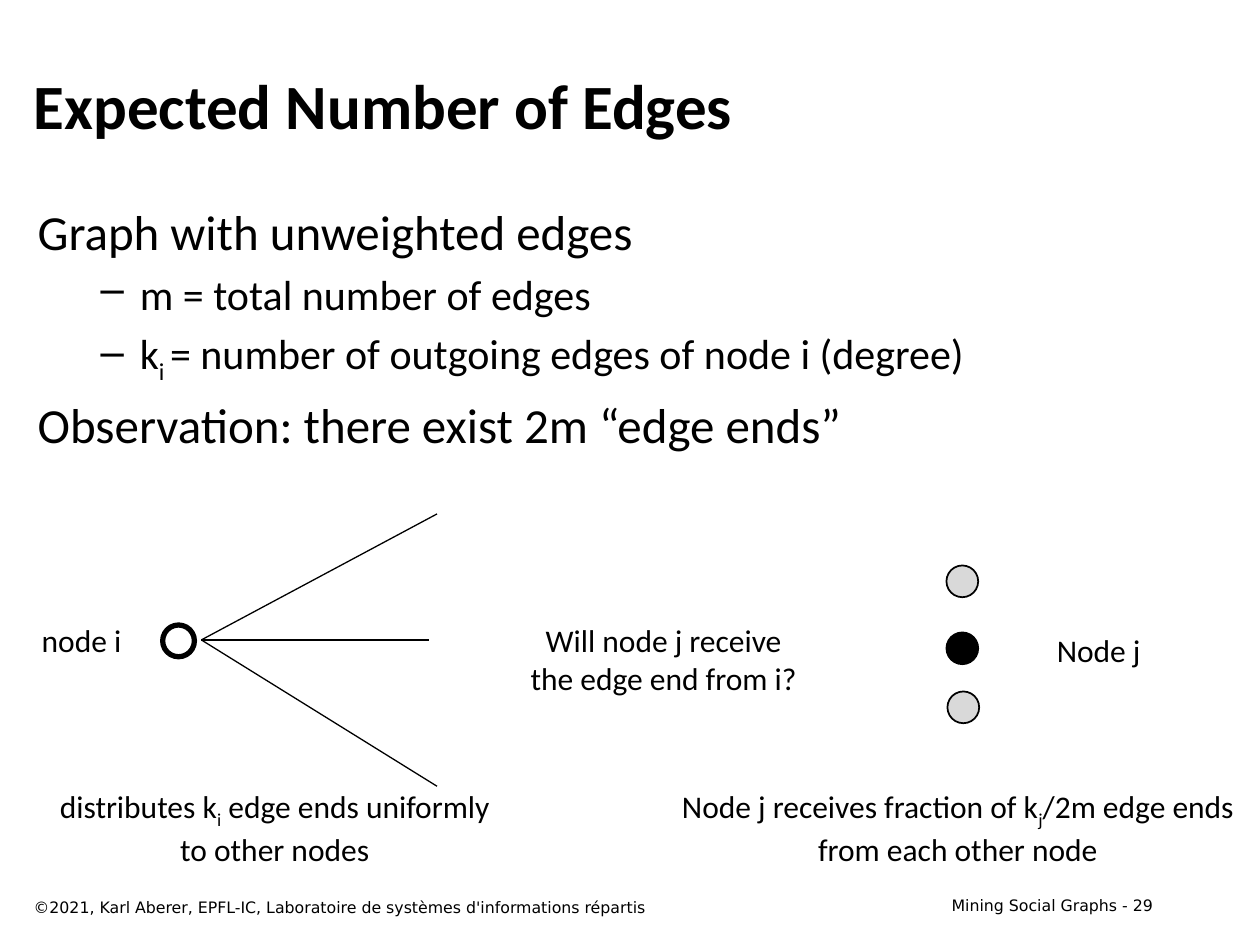
from lxml import etree
from pptx import Presentation
from pptx.dml.color import RGBColor
from pptx.enum import shapes, text
from pptx.oxml import ns
from pptx.util import Cm, Pt

BLACK = RGBColor(0x00, 0x00, 0x00)
GREY = RGBColor(0xD9, 0xD9, 0xD9)
CENTER, RIGHT = text.PP_ALIGN.CENTER, text.PP_ALIGN.RIGHT

# Formats: paragraph and font values
TITLE = dict(font=dict(name="Calibri", size=Pt(36), bold=True))
POINT = dict(font=dict(name="Calibri", size=Pt(28)), space_before=Pt(5.6))
SUBPOINT = dict(font=dict(name="Calibri", size=Pt(24)), space_before=Pt(4.8), bullet="–")
LABEL = dict(font=dict(name="Calibri", size=Pt(18)), alignment=CENTER)
FOOTER = dict(font=dict(name="DejaVu Sans", size=Pt(9)))
PAGE = dict(FOOTER, alignment=RIGHT)

# Paragraphs are lists of runs; every second run is a subscript
TITLE_TEXT = [(["Expected Number of Edges"], TITLE)]
BODY_TEXT = [
    (["Graph with unweighted edges"], POINT),
    (["m = total number of edges"], SUBPOINT),
    (["k", "i ", "= number of outgoing edges of node i (degree)"], SUBPOINT),
    (["Observation: there exist 2m “edge ends”"], POINT),
]
FOOTERS = [  # box in cm, runs, format
    ((18.21, 17.93, 5.28, 0.64), ["Mining Social Graphs - 29"], PAGE),
    ((0.43, 17.98, 16.31, 0.64),
     ["©2021, Karl Aberer, EPFL-IC, Laboratoire de systèmes d'informations répartis"], FOOTER),
]
LABELS = [  # box in cm, lines of runs
    ((0.58, 12.4, 2.13, 1.02), [["node i"]]),
    ((0.89, 15.75, 9.3, 1.8),
     [["distributes k", "i", " edge ends uniformly"], ["to other nodes"]]),
    ((21.03, 12.6, 2.24, 1.02), [["Node j"]]),
    ((13.34, 15.75, 11.94, 1.8),
     [["Node j receives fraction of k", "j", "/2m edge ends"], ["from each other node"]]),
    ((10.41, 12.4, 5.94, 1.8), [["Will node j receive"], ["the edge end from i?"]]),
]
NODE_SIZE = 0.64
NODES = [  # left, top in cm, fill, line width
    (3.28, 12.6, None, 3),
    (19.08, 11.4, GREY, 1),
    (19.08, 12.75, BLACK, 1),
    (19.1, 13.94, GREY, 1),
]
EDGE_ORIGIN = (4.06, 12.9)
EDGE_ENDS = [(8.81, 10.36), (8.64, 12.9), (8.81, 15.85)]


def set_values(target, values):
    for name, value in values.items():
        setattr(target, name, value)


def add_bullet(paragraph, character):
    properties = paragraph._p.get_or_add_pPr()
    properties.set("lvl", "1")
    properties.set("marL", str(Cm(2.06)))
    properties.set("indent", str(Cm(-0.79)))
    etree.SubElement(properties, ns.qn("a:buChar")).set("char", character)


def fill_paragraph(paragraph, runs, style, first):
    values = dict(style)
    font = values.pop("font")
    bullet = values.pop("bullet", None)
    if first:
        values.pop("space_before", None)
    set_values(paragraph, values)
    if bullet:
        add_bullet(paragraph, bullet)
    for index, words in enumerate(runs):
        run = paragraph.add_run()
        run.text = words
        set_values(run.font, font)
        run.font.color.rgb = BLACK
        if index % 2:
            run._r.get_or_add_rPr().set("baseline", "-25000")


def add_text(slide, box, paragraphs, **frame_values):
    frame = slide.shapes.add_textbox(*map(Cm, box)).text_frame
    set_values(frame, dict(dict(word_wrap=True), **frame_values))
    for index, (runs, style) in enumerate(paragraphs):
        paragraph = frame.add_paragraph() if index else frame.paragraphs[0]
        fill_paragraph(paragraph, runs, style, index == 0)


def add_node(slide, left, top, fill, width):
    node = slide.shapes.add_shape(
        shapes.MSO_SHAPE.OVAL, Cm(left), Cm(top), Cm(NODE_SIZE), Cm(NODE_SIZE))
    node.shadow.inherit = False
    if fill is None:
        node.fill.background()
    else:
        node.fill.solid()
        node.fill.fore_color.rgb = fill
    node.line.color.rgb = BLACK
    node.line.width = Pt(width)


def add_edge(slide, start, end):
    edge = slide.shapes.add_connector(
        shapes.MSO_CONNECTOR.STRAIGHT, *map(Cm, start + end))
    edge.line.color.rgb = BLACK
    edge.line.width = Pt(0.75)
    etree.SubElement(edge._element.spPr, ns.qn("a:effectLst"))


def main():
    presentation = Presentation()
    presentation.slide_width, presentation.slide_height = Cm(25.4), Cm(19.05)
    slide = presentation.slides.add_slide(presentation.slide_layouts[6])

    add_text(slide, (0.43, 0.84, 23.06, 2.54), TITLE_TEXT,
             vertical_anchor=text.MSO_ANCHOR.MIDDLE)
    add_text(slide, (0.51, 3.94, 23.06, 13.77), BODY_TEXT)
    for box, runs, style in FOOTERS:
        add_text(slide, box, [(runs, style)])
    for node in NODES:
        add_node(slide, *node)
    for end in EDGE_ENDS:
        add_edge(slide, EDGE_ORIGIN, end)
    for box, lines in LABELS:
        add_text(slide, box, [(runs, LABEL) for runs in lines],
                 word_wrap=False, auto_size=text.MSO_AUTO_SIZE.SHAPE_TO_FIT_TEXT)

    presentation.save("out.pptx")


if __name__ == "__main__":
    main()
